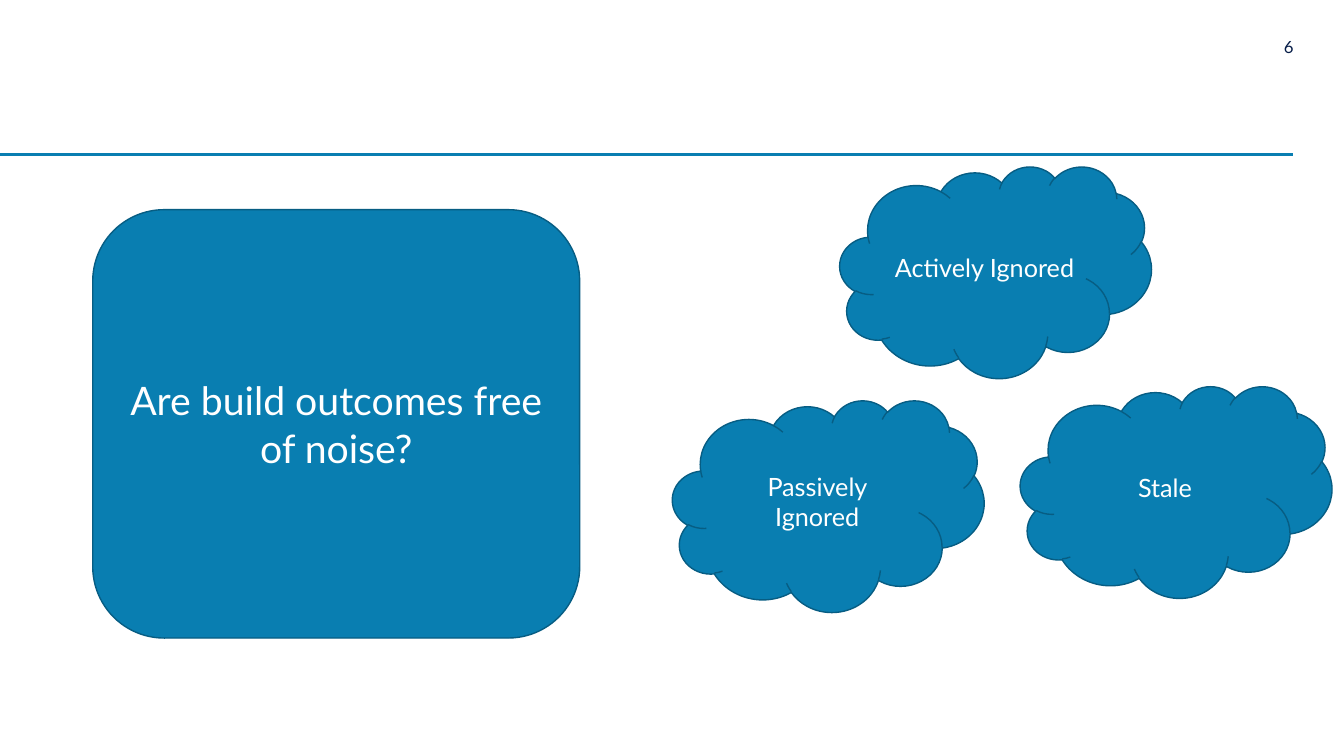
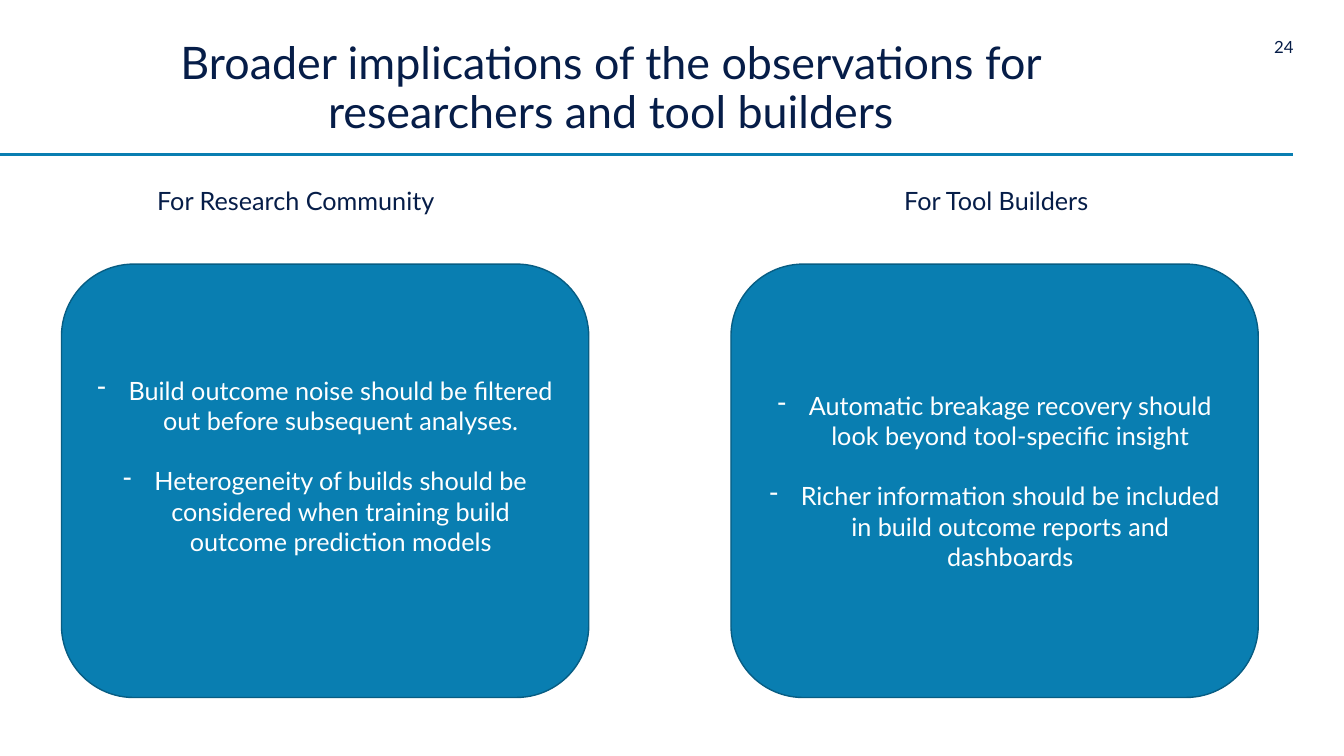
from dataclasses import dataclass

from lxml import etree
from pptx import Presentation
from pptx.dml.color import RGBColor
from pptx.enum.shapes import MSO_CONNECTOR, MSO_SHAPE
from pptx.enum.text import MSO_ANCHOR, PP_ALIGN
from pptx.oxml.ns import qn
from pptx.util import Inches, Pt

LEFT, CENTER, RIGHT = PP_ALIGN.LEFT, PP_ALIGN.CENTER, PP_ALIGN.RIGHT
TOP, MIDDLE, BOTTOM = MSO_ANCHOR.TOP, MSO_ANCHOR.MIDDLE, MSO_ANCHOR.BOTTOM
ROUNDED, CLOUD = MSO_SHAPE.ROUNDED_RECTANGLE, MSO_SHAPE.CLOUD
STRAIGHT = MSO_CONNECTOR.STRAIGHT


@dataclass(frozen=True)
class Theme:
    font: str = "Lato"
    navy: RGBColor = RGBColor.from_string("061D48")
    blue: RGBColor = RGBColor.from_string("097EB1")
    edge: RGBColor = RGBColor.from_string("075D83")
    white: RGBColor = RGBColor.from_string("FFFFFF")
    title: float = 32
    question: float = 28
    body: float = 18
    number: float = 12
    rule: float = 2.25
    outline: float = 1
    bullet_indent: float = 0.31
    blank_line: float = 21.6


THEME = Theme()
NO_INSETS = (0, 0, 0, 0)
NORMAL_INSETS = (0.1, 0.05, 0.1, 0.05)


def apply_format(target, values):
    for name, value in values.items():
        setattr(target, name, value)


def add_dash(para):
    properties = para._p.get_or_add_pPr()
    indent = Inches(THEME.bullet_indent)
    properties.set("marL", str(indent))
    properties.set("indent", str(-indent))
    etree.SubElement(properties, qn("a:buFontTx"))
    etree.SubElement(properties, qn("a:buChar")).set("char", "-")


def write_text(shape, lines, size, color, align=CENTER, anchor=MIDDLE,
               insets=NORMAL_INSETS, wrap=True, dashes=False, spacing=None):
    frame = shape.text_frame
    left, top, right, bottom = (Inches(inset) for inset in insets)
    apply_format(frame, {
        "word_wrap": wrap, "vertical_anchor": anchor,
        "margin_left": left, "margin_top": top,
        "margin_right": right, "margin_bottom": bottom,
    })
    for index, line in enumerate(lines):
        para = frame.add_paragraph() if index else frame.paragraphs[0]
        para.alignment = align
        if spacing:
            para.line_spacing = spacing
        if index:
            para.space_before = Pt(THEME.blank_line)
        if dashes:
            add_dash(para)
        span = para.add_run()
        span.text = line
        apply_format(span.font, {"name": THEME.font, "size": Pt(size)})
        span.font.color.rgb = color


def add_label(page, box, text, size, **style):
    label = page.shapes.add_textbox(*(Inches(length) for length in box))
    write_text(label, [text], size, THEME.navy, **style)


def add_panel(page, kind, box, lines, size=THEME.body, **style):
    panel = page.shapes.add_shape(kind, *(Inches(length) for length in box))
    panel.shadow.inherit = False
    panel.fill.solid()
    panel.fill.fore_color.rgb = THEME.blue
    panel.line.color.rgb = THEME.edge
    panel.line.width = Pt(THEME.outline)
    write_text(panel, lines, size, THEME.white, **style)


def add_page(deck, number, title=None):
    page = deck.slides.add_slide(deck.slide_layouts[6])
    rule = page.shapes.add_connector(
        STRAIGHT, 0, Inches(1.53), Inches(12.82), Inches(1.53))
    rule.line.color.rgb = THEME.blue
    rule.line.width = Pt(THEME.rule)
    etree.SubElement(rule._element.spPr, qn("a:effectLst"))
    add_label(page, (12.42, 0.36, 0.41, 0.2), number, THEME.number,
              align=RIGHT, anchor=TOP, insets=NO_INSETS)
    if title:
        add_label(page, (0.92, 0.34, 10.28, 1.03), title, THEME.title,
                  anchor=BOTTOM, insets=NO_INSETS, spacing=0.9)
    return page


def add_noise_clouds(page, left, top):
    clouds = (
        (1.66, 0, "Actively Ignored"),
        (0, 2.32, "Passively Ignored"),
        (3.45, 2.18, "Stale"),
    )
    for across, down, text in clouds:
        add_panel(page, CLOUD, (left + across, top + down, 3.09, 2.1), [text])


def add_audience(page, left, top, heading, heading_offset, heading_width,
                 points, bottom_inset):
    add_panel(page, ROUNDED, (left, top + 0.83, 5.23, 4.3), points,
              insets=(0.1, 0.05, 0.1, bottom_inset), dashes=True)
    add_label(page, (left + heading_offset, top, heading_width, 0.4), heading,
              THEME.body, align=LEFT, anchor=TOP, wrap=False)


def build_noise_page(deck):
    page = add_page(deck, "6")
    add_panel(page, ROUNDED, (0.92, 2.08, 4.83, 4.25),
              ["Are build outcomes free of noise?"], THEME.question,
              insets=NO_INSETS)
    add_noise_clouds(page, 6.67, 1.65)


def build_implications_page(deck):
    page = add_page(deck, "24", "Broader implications of the observations for "
                                "researchers and tool builders")
    add_audience(page, 0.61, 1.79, "For Research Community", 0.85, 3.01, [
        "Build outcome noise should be filtered out before subsequent analyses.",
        "Heterogeneity of builds should be considered when training build "
        "outcome prediction models",
    ], 0.35)
    add_audience(page, 7.25, 1.79, "For Tool Builders", 1.62, 2.1, [
        "Automatic breakage recovery should look beyond tool-specific insight",
        "Richer information should be included in build outcome reports and "
        "dashboards",
    ], 0.05)


def main():
    deck = Presentation()
    apply_format(deck, {"slide_width": Inches(13.33),
                        "slide_height": Inches(7.5)})
    build_noise_page(deck)
    build_implications_page(deck)
    deck.save("out.pptx")


if __name__ == "__main__":
    main()
